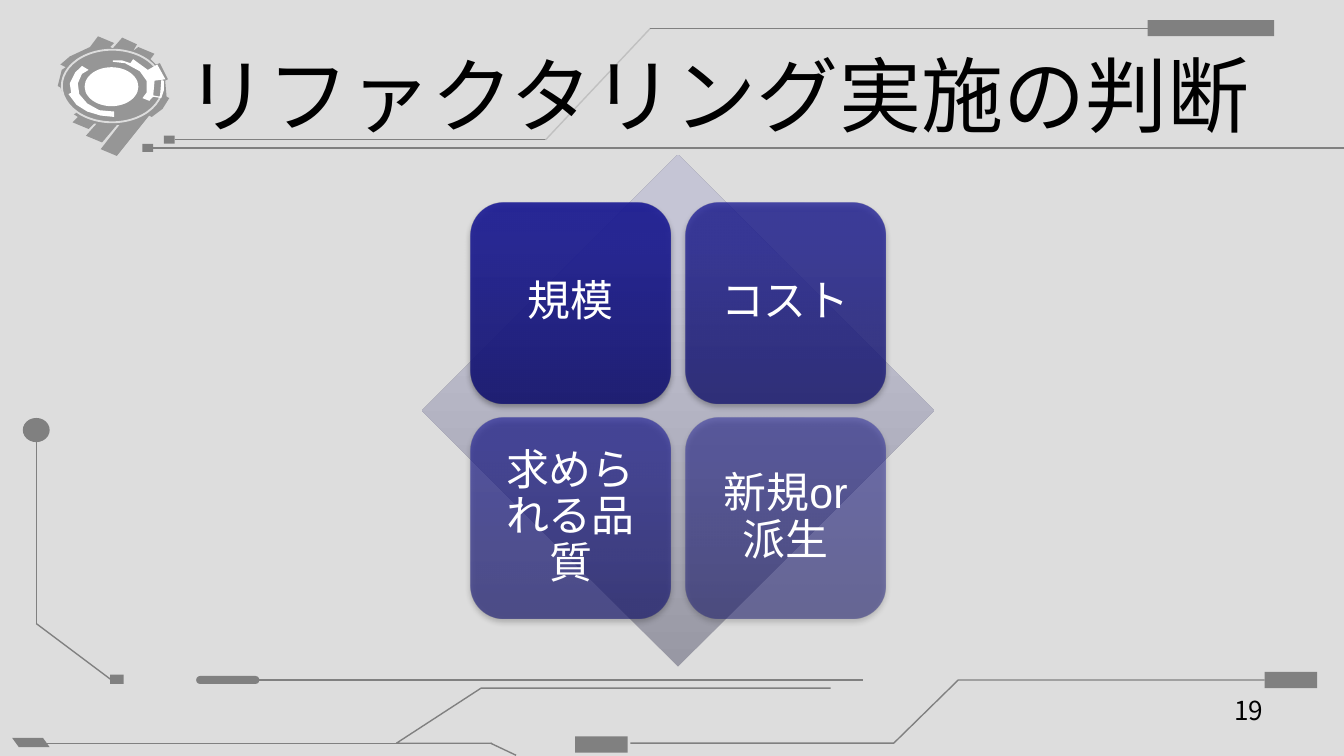
from pptx import Presentation
from pptx.dml.color import RGBColor
from pptx.enum.shapes import MSO_CONNECTOR, MSO_SHAPE
from pptx.enum.text import MSO_ANCHOR, PP_ALIGN
from pptx.oxml import parse_xml
from pptx.oxml.ns import nsdecls, qn
from pptx.util import Inches, Pt
from lxml.etree import SubElement

COLORS = {
    "bg": "DDDDDD", "circuit": "808080", "pale": "C0C0C0", "emblem": "969696",
    "white": "FFFFFF", "black": "000000",
}
DIAMOND_STOPS = [(0, "9898A4"), (80, "C5C5D5"), (100, "C6C6D6")]
TILE_STOPS = [(0, "171771"), (80, "1E1E93"), (100, "1C1C96")]
JP_FONT = "Noto Sans CJK JP"


def rgb(name):
    """Return the named colour."""
    return RGBColor.from_string(COLORS[name])


def add_block(s, kind, box, color=None):
    """Add a flat preset shape without outline or shadow."""
    sp = s.shapes.add_shape(kind, *map(Inches, box))
    sp.shadow.inherit = False
    sp.line.fill.background()
    if color:
        sp.fill.solid()
        sp.fill.fore_color.rgb = rgb(color)
    return sp


def add_line(s, start, end, color="circuit"):
    """Add a thin straight circuit line."""
    line = s.shapes.add_connector(MSO_CONNECTOR.STRAIGHT, *map(Inches, start + end))
    line.line.color.rgb = rgb(color)
    line.line.width = Pt(0.75)
    SubElement(line._element.spPr, qn("a:effectLst"))


def add_path(s, left, top, points, fill=None):
    """Add a filled outline, or an open thin line when no fill is given."""
    pts = [(Inches(left + x), Inches(top + y)) for x, y in points]
    builder = s.shapes.build_freeform(*pts[0])
    builder.add_line_segments(pts[1:], close=bool(fill))
    sp = builder.convert_to_shape()
    sp.shadow.inherit = False
    if fill:
        sp.fill.solid()
        sp.fill.fore_color.rgb = rgb(fill)
        sp.line.fill.background()
    else:
        sp.fill.background()
        sp.line.color.rgb = rgb("circuit")
        sp.line.width = Pt(0.75)


def set_gradient(sp, stops, alpha=100):
    """Fill a shape with a gradient running from bottom to top."""
    sp.fill.gradient()
    spPr = sp._element.spPr
    gs = "".join(
        f'<a:gs pos="{pos * 1000}"><a:srgbClr val="{color}">'
        f'<a:alpha val="{alpha * 1000}"/></a:srgbClr></a:gs>'
        for pos, color in stops)
    spPr.replace(spPr.find(qn("a:gradFill")), parse_xml(
        f'<a:gradFill {nsdecls("a")} rotWithShape="1"><a:gsLst>{gs}</a:gsLst>'
        '<a:lin ang="16200000" scaled="0"/></a:gradFill>'))


def add_drop_shadow(sp):
    """Give a shape a soft shadow below it."""
    sp._element.spPr.find(qn("a:effectLst")).append(parse_xml(
        f'<a:outerShdw {nsdecls("a")} blurRad="40000" dist="23000" dir="5400000" '
        'rotWithShape="0"><a:srgbClr val="000000"><a:alpha val="35000"/>'
        '</a:srgbClr></a:outerShdw>'))


def add_label(s, box, text, size, align, anchor, font=JP_FONT, color="black"):
    """Add a text box with one paragraph and return its text frame."""
    tf = s.shapes.add_textbox(*map(Inches, box)).text_frame
    tf.word_wrap = True
    tf.vertical_anchor = anchor
    p = tf.paragraphs[0]
    p.text = text
    p.alignment = align
    p.font.size = Pt(size)
    p.font.name = font
    p.font.color.rgb = rgb(color)
    return tf


def add_emblem(s, left, top):
    """Draw the mechanical eye ornament."""
    add_path(s, left, top, [
        (0.3, 0), (0.42, 0.05), (0.39, 0.08), (0.41, 0.09), (0.48, 0.01), (0.59, 0.06),
        (0.56, 0.11), (0.6, 0.08), (0.72, 0.13), (0.69, 0.17), (0.73, 0.21), (0.76, 0.2),
        (0.82, 0.32), (0.8, 0.33), (0.81, 0.45), (0.83, 0.46), (0.78, 0.54), (0.7, 0.6),
        (0.68, 0.59), (0.44, 0.89), (0.32, 0.84), (0.46, 0.66), (0.44, 0.66),
        (0.33, 0.79), (0.21, 0.74), (0.29, 0.65), (0.27, 0.65), (0.23, 0.69),
        (0.11, 0.64), (0.15, 0.6), (0.12, 0.58), (0.14, 0.57), (0.05, 0.46),
        (0.02, 0.38), (0, 0.37), (0.03, 0.25), (0.06, 0.23), (0.02, 0.21),
        (0.09, 0.15), (0.24, 0.08)], "emblem")
    ring = add_block(s, MSO_SHAPE.OVAL, (left + 0.03, top + 0.1, 0.75, 0.54))
    ring.fill.background()
    ring.line.color.rgb = rgb("bg")
    ring.line.width = Pt(1)
    add_path(s, left, top, [
        (0.23, 0.25), (0.18, 0.22), (0.13, 0.27), (0.09, 0.35), (0.1, 0.42), (0.08, 0.43),
        (0.14, 0.51), (0.22, 0.56), (0.32, 0.59), (0.42, 0.6), (0.42, 0.56),
        (0.31, 0.55), (0.22, 0.5), (0.16, 0.43), (0.15, 0.35), (0.18, 0.28)], "white")
    add_path(s, left, top, [
        (0.41, 0.19), (0.5, 0.2), (0.61, 0.26), (0.66, 0.33), (0.66, 0.42), (0.63, 0.46),
        (0.68, 0.48), (0.71, 0.45), (0.77, 0.46), (0.79, 0.4), (0.79, 0.33), (0.77, 0.33),
        (0.76, 0.45), (0.71, 0.44), (0.72, 0.33), (0.8, 0.32), (0.74, 0.21),
        (0.67, 0.25), (0.56, 0.17), (0.54, 0.2), (0.48, 0.18), (0.41, 0.18)], "white")
    add_block(s, MSO_SHAPE.OVAL, (left + 0.2, top + 0.23, 0.4, 0.29), "white")


def add_header(s, left, top, width, title):
    """Draw the circuit lines, the emblem and the title of the header."""
    add_emblem(s, left + 0.43, top + 0.27)
    add_line(s, (left + 1.14, top + 1.1), (left + width, top + 1.1))
    add_line(s, (left + 1.3, top + 1.04), (left + 4.06, top + 1.04))
    add_line(s, (left + 4.06, top + 1.04), (left + 4.84, top + 0.21), "pale")
    add_line(s, (left + 4.84, top + 0.21), (left + 8.54, top + 0.21))
    for x, y, w, h in [(1.06, 1.07, 0.08, 0.06), (1.22, 1.01, 0.08, 0.06),
                       (8.54, 0.15, 0.94, 0.12)]:
        add_block(s, MSO_SHAPE.RECTANGLE, (left + x, top + y, w, h), "circuit")
    add_label(s, (left + 1.28, top + 0.23, 8.22, 0.94), title, 44,
              PP_ALIGN.LEFT, MSO_ANCHOR.MIDDLE)


def add_footer(s, left, top, number):
    """Draw the circuit lines and the slide number at the bottom."""
    for points in [
            [(9.41, 1.95), (7.13, 1.95), (6.65, 2.42), (4.69, 2.42)],
            [(6.18, 2.01), (3.58, 2.01), (2.95, 2.42), (3.66, 2.42)]]:
        add_path(s, left, top, points)
    for x1, y1, x2, y2 in [
            (6.42, 1.95, 1.85, 1.95), (2.95, 2.42, 0.27, 2.42), (0.83, 1.95, 0.27, 1.53),
            (0.27, 1.53, 0.27, 0.12), (3.65, 2.42, 3.84, 2.51)]:
        add_line(s, (left + x1, top + y1), (left + x2, top + y2))
    for kind, x, y, w, h in [
            (MSO_SHAPE.RECTANGLE, 9.41, 1.89, 0.39, 0.12),
            (MSO_SHAPE.RECTANGLE, 4.28, 2.37, 0.39, 0.12),
            (MSO_SHAPE.RECTANGLE, 0.82, 1.91, 0.1, 0.07),
            (MSO_SHAPE.OVAL, 0.17, 0, 0.2, 0.18)]:
        add_block(s, kind, (left + x, top + y, w, h), "circuit")
    slant = add_block(s, MSO_SHAPE.PARALLELOGRAM,
                      (left + 0.09, top + 2.38, 0.28, 0.07), "circuit")
    slant.adjustments[0] = 0.72
    slant._element.spPr.find(qn("a:xfrm")).set("flipH", "1")
    pill = add_block(s, MSO_SHAPE.ROUNDED_RECTANGLE,
                     (left + 1.46, top + 1.92, 0.47, 0.06), "circuit")
    pill.adjustments[0] = 0.5
    add_label(s, (left + 7.17, top + 2.01, 2.33, 0.39), number, 14,
              PP_ALIGN.RIGHT, MSO_ANCHOR.TOP)


def add_matrix(s, left, top, size, labels):
    """Draw a diamond with a two by two grid of fading tiles on it."""
    set_gradient(add_block(s, MSO_SHAPE.DIAMOND, (left, top, size, size)), DIAMOND_STOPS)
    inset, tile, step, text = 0.36, 1.49, 1.6, 1.34
    pad = (tile - text) / 2
    for i, (label, alpha) in enumerate(zip(labels, (90, 77, 63, 50))):
        row, col = divmod(i, 2)
        x, y = left + inset + col * step, top + inset + row * step
        sp = add_block(s, MSO_SHAPE.ROUNDED_RECTANGLE, (x, y, tile, tile))
        set_gradient(sp, TILE_STOPS, alpha)
        add_drop_shadow(sp)
        tf = add_label(s, (x + pad, y + pad, text, text), label, 23,
                       PP_ALIGN.CENTER, MSO_ANCHOR.MIDDLE, "Arial", "white")
        tf.margin_left = tf.margin_right = tf.margin_top = tf.margin_bottom = Inches(0.1)
        tf.paragraphs[0].line_spacing = 0.9


prs = Presentation()
prs.slide_width, prs.slide_height = Inches(10), Inches(5.625)
s = prs.slides.add_slide(prs.slide_layouts[6])
s.background.fill.solid()
s.background.fill.fore_color.rgb = rgb("bg")
add_header(s, 0, 0, 10, "リファクタリング実施の判断")
add_footer(s, 0, 3.11, "19")
add_matrix(s, 3.14, 1.15, 3.81, ["規模", "コスト", "求められる品質", "新規or派生"])
prs.save("out.pptx")
